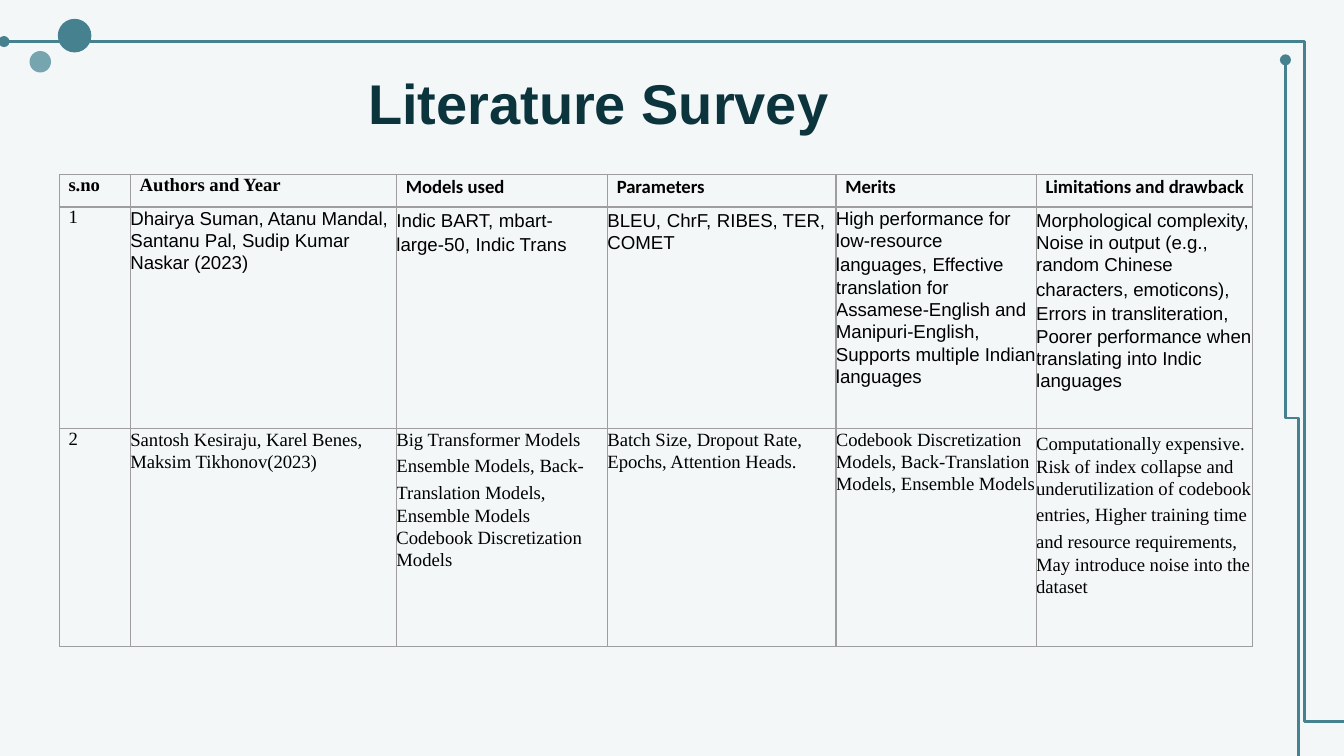
"""Build the Literature Survey slide: a bordered table framed by teal circuit lines."""
import pptx
import pptx.dml.color
import pptx.enum.shapes
import pptx.enum.text
import pptx.oxml
import pptx.oxml.ns
import pptx.util

SERIF, SANS, HEAD = "Times New Roman", "Arial", "Calibri"
COLORS = {"ground": "F3F7F8", "teal": "45818E", "pale": "76A5AF",
          "title": "0C343D", "ink": "000000", "border": "9E9E9E"}
TITLE = "Literature Survey"
HEADINGS = ["s.no", "Authors and Year", "Models used", "Parameters", "Merits",
            "Limitations and drawback"]
STUDIES = [
    [["1"],
     ["Dhairya Suman, Atanu Mandal, Santanu Pal, Sudip Kumar Naskar (2023)"],
     ["Indic BART,", "mbart-large-50,", "Indic Trans"],
     ["BLEU,", "ChrF,", "RIBES, TER, COMET"],
     ["High performance for low-resource languages,",
      "Effective translation for Assamese-English and Manipuri-English, "
      "Supports multiple Indian languages"],
     ["Morphological complexity,",
      "Noise in output (e.g., random Chinese characters, emoticons),",
      "Errors in transliteration,",
      "Poorer performance when translating into Indic languages"]],
    [["2"],
     ["Santosh Kesiraju, Karel Benes, Maksim Tikhonov(2023)"],
     ["Big Transformer Models Ensemble Models,", "Back-Translation Models,",
      "Ensemble Models Codebook Discretization Models"],
     ["Batch Size, Dropout Rate, Epochs, Attention Heads."],
     ["Codebook Discretization Models, Back-Translation Models, Ensemble Models"],
     ["Computationally expensive.",
      "Risk of index collapse and underutilization of codebook entries,",
      "Higher training time and resource requirements,",
      "May introduce noise into the dataset"]],
]
STUDY_FONTS = [(SANS, SANS), (SERIF, HEAD)]
COLUMNS = [0.53, 1.98, 1.57, 1.7, 1.49, 1.61]
ROWS = [0.24, 1.65, 1.62]
DOTS = [(0.22, 0.38, 0.16, "pale"), (0.43, 0.14, 0.25, "teal")]
CIRCUITS = [((10.04, 5.37), (0.03, 0.31), 0, 3300),
            ((12.28, 3.06), (6.95, 3.16), 90, 50000)]

inch = pptx.util.Inches
align = pptx.enum.text.PP_ALIGN


def rgb(name):
    return pptx.dml.color.RGBColor.from_string(COLORS[name])


def write(frame, phrases, font=SERIF, size=10, color="ink", bold=False,
          gap_font=None, spacing=1.0, alignment=align.LEFT):
    """Write phrases as one paragraph, parted by slightly larger spaces."""
    paragraph = frame.paragraphs[0]
    paragraph.alignment, paragraph.line_spacing = alignment, spacing
    pieces = []
    for phrase in phrases:
        if pieces:
            pieces.append((" ", gap_font or font, size + 1))
        pieces.append((phrase, font, size))
    for words, face, points in pieces:
        run = paragraph.add_run()
        run.text = words
        run.font.name, run.font.size, run.font.bold = face, pptx.util.Pt(points), bold
        run.font.color.rgb = rgb(color)


def add_circuit(slide, begin, end, turn, bend):
    """Draw an elbow line that ends in a round dot."""
    circuit = slide.shapes.add_connector(
        pptx.enum.shapes.MSO_CONNECTOR.ELBOW, *map(inch, begin + end))
    circuit.line.color.rgb, circuit.line.width = rgb("teal"), pptx.util.Pt(1.5)
    properties = circuit._element.spPr
    properties.find(pptx.oxml.ns.qn("a:xfrm")).set("rot", str(turn * 60000))
    guides = properties.find(pptx.oxml.ns.qn("a:prstGeom")).get_or_add_avLst()
    guides.append(pptx.oxml.parse_xml(
        f'<a:gd {pptx.oxml.ns.nsdecls("a")} name="adj1" fmla="val {bend}"/>'))
    circuit.line._get_or_add_ln().append(pptx.oxml.parse_xml(
        f'<a:tailEnd {pptx.oxml.ns.nsdecls("a")} type="oval"/>'))
    properties.append(pptx.oxml.parse_xml(
        f'<a:effectLst {pptx.oxml.ns.nsdecls("a")}/>'))


def frame_cell(cell, indent):
    """Give a cell thin borders, no fill and no margins but the indent."""
    cell.margin_left = inch(indent)
    cell.margin_right = cell.margin_top = cell.margin_bottom = 0
    properties = cell._tc.get_or_add_tcPr()
    for side in ("lnL", "lnR", "lnT", "lnB"):
        properties.append(pptx.oxml.parse_xml(
            f'<a:{side} {pptx.oxml.ns.nsdecls("a")} w="9525"><a:solidFill>'
            f'<a:srgbClr val="{COLORS["border"]}"/></a:solidFill></a:{side}>'))
    cell.fill.background()


def add_survey(slide):
    """Place the survey table."""
    survey = slide.shapes.add_table(
        len(ROWS), len(COLUMNS), inch(0.44), inch(1.3),
        inch(sum(COLUMNS)), inch(sum(ROWS))).table
    survey.first_row = survey.horz_banding = False
    for column, width in zip(survey.columns, COLUMNS):
        column.width = inch(width)
    for row, height in zip(survey.rows, ROWS):
        row.height = inch(height)
    entries = [[[heading] for heading in HEADINGS]] + STUDIES
    for r, entry in enumerate(entries):
        for c, phrases in enumerate(entry):
            cell = survey.cell(r, c)
            heading, number = r == 0, c == 0
            serif = number or (heading and c == 1)
            font, gap_font = (HEAD, HEAD) if heading else STUDY_FONTS[r - 1]
            frame_cell(cell, 0.07 if heading or number else 0)
            write(cell.text_frame, phrases, font=SERIF if serif else font,
                  gap_font=gap_font, bold=heading, spacing=1.0 if serif else 1.07,
                  alignment=align.JUSTIFY if serif else align.LEFT)


def main():
    deck = pptx.Presentation()
    deck.slide_width = inch(10)
    deck.slide_height = deck.slide_width * 9 // 16
    slide = deck.slides.add_slide(deck.slide_layouts[6])
    slide.background.fill.solid()
    slide.background.fill.fore_color.rgb = rgb("ground")
    for left, top, size, color in DOTS:
        dot = slide.shapes.add_shape(pptx.enum.shapes.MSO_SHAPE.OVAL,
                                     *map(inch, (left, top, size, size)))
        dot.shadow.inherit = False
        dot.fill.solid()
        dot.fill.fore_color.rgb = rgb(color)
        dot.line.fill.background()
    for circuit in CIRCUITS:
        add_circuit(slide, *circuit)
    title = slide.shapes.add_textbox(*map(inch, (2.64, 0.41, 3.95, 0.64))).text_frame
    title.word_wrap, title.margin_top = True, inch(0.1)
    write(title, [TITLE], font=SANS, size=30, color="title", bold=True)
    add_survey(slide)
    deck.save("out.pptx")


if __name__ == "__main__":
    main()
